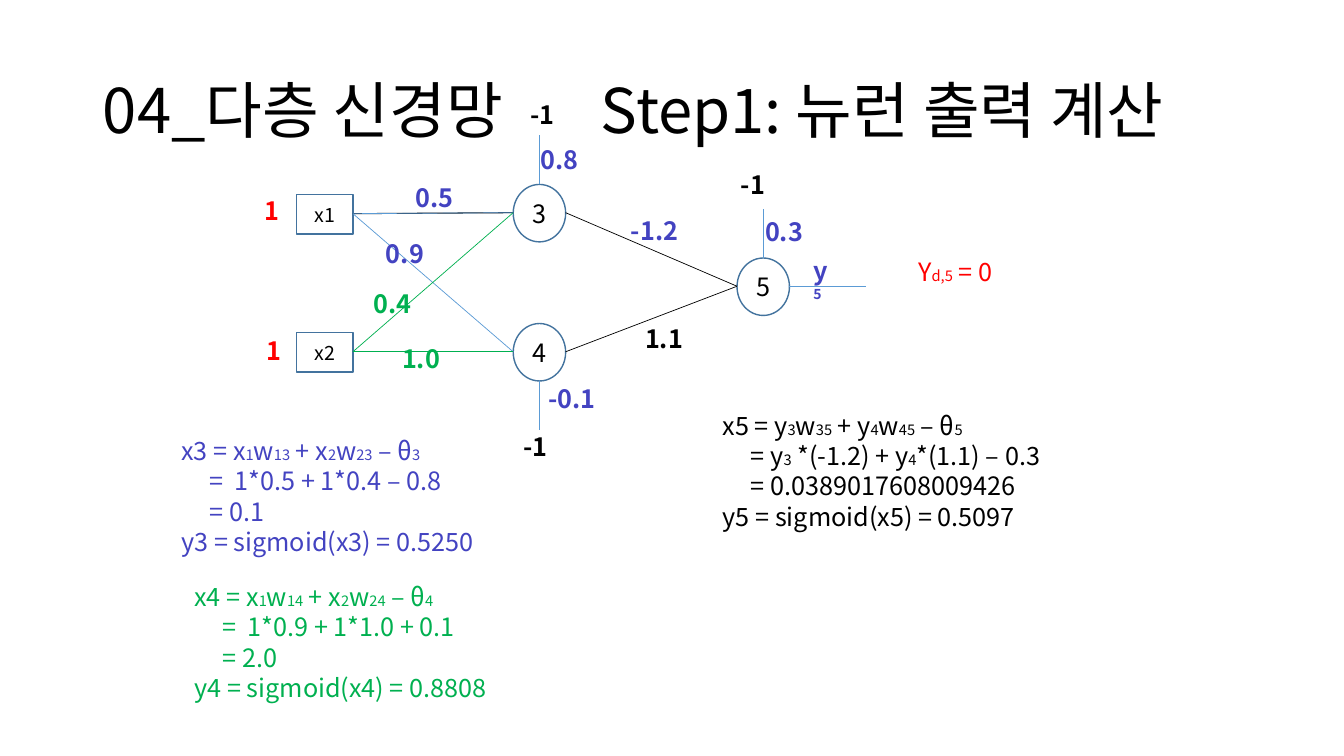
from dataclasses import dataclass
from enum import Enum

from lxml.etree import SubElement
from pptx import Presentation
from pptx.dml.color import RGBColor
from pptx.enum.shapes import MSO_CONNECTOR as Wire, MSO_SHAPE as Form
from pptx.enum.text import MSO_ANCHOR as Anchor, MSO_AUTO_SIZE as Fit, PP_ALIGN as Align
from pptx.oxml.ns import qn
from pptx.util import Emu, Pt

PX = 9144
FONT = "Noto Sans CJK KR"
HUES = {
    "black": "000000", "blue": "4343C1", "green": "00B050",
    "red": "FF0000", "sky": "5B9BD5", "edge": "43739E",
}
STUB = 49


class Side(Enum):
    TOP = (1, 0)
    LEFT = (0, 1)
    BASE = (1, 2)
    RIGHT = (2, 1)


@dataclass(frozen=True)
class Node:
    name: str
    x: int
    y: int
    w: int = 52
    h: int = 57
    form: Form = Form.OVAL
    size: int = 18

    def port(self, side: Side) -> tuple[int, int]:
        across, down = side.value
        return self.x + across * self.w // 2, self.y + down * self.h // 2


@dataclass(frozen=True)
class Edge:
    start: str
    end: str
    hue: str
    width: float = 0.5


@dataclass(frozen=True)
class Stub:
    node: str
    side: Side
    dx: int
    dy: int


@dataclass(frozen=True)
class Label:
    text: str
    x: int
    y: int
    w: int
    hue: str
    bold: bool = True
    sub: float = 10.5
    wrap: bool = False


@dataclass(frozen=True)
class Sums:
    x: int
    y: int
    w: int
    hue: str
    lines: tuple[str, ...]


NODES = [
    Node("3", 509, 183), Node("4", 509, 321), Node("5", 731, 256),
    Node("x1", 294, 193, 56, 39, Form.RECTANGLE, 14),
    Node("x2", 294, 330, 56, 39, Form.RECTANGLE, 14),
]
EDGES = [
    Edge("x1", "3", "black", 0.75), Edge("x1", "3", "sky"),
    Edge("x1", "4", "sky"), Edge("x2", "3", "green"),
    Edge("x2", "4", "green"), Edge("3", "5", "black"), Edge("4", "5", "black"),
]
STUBS = [
    Stub("3", Side.TOP, 0, -STUB), Stub("4", Side.BASE, 0, STUB),
    Stub("5", Side.TOP, 0, -STUB), Stub("5", Side.RIGHT, 76, 0),
]
LABELS = [
    Label("0.5", 402, 176, 58, "blue"), Label("0.9", 373, 232, 58, "blue"),
    Label("0.4", 361, 281, 58, "green"), Label("1.0", 389, 336, 58, "green"),
    Label("-1.2", 616, 209, 73, "blue"), Label("1.1", 630, 316, 58, "black"),
    Label("0.8", 526, 138, 58, "blue"), Label("-0.1", 534, 375, 73, "blue"),
    Label("0.3", 749, 210, 58, "blue"),
    Label("1", 252, 189, 35, "red"), Label("1", 254, 328, 35, "red"),
    Label("-1", 516, 94, 49, "black"), Label("-1", 509, 423, 49, "black"),
    Label("-1", 725, 163, 49, "black"),
    Label("y_5_", 797, 248, 40, "blue", sub=10, wrap=True),
    Label("Y_d,5_ = 0", 901, 249, 104, "red", bold=False),
]
SUMS = [
    Sums(170, 427, 326, "blue", (
        "x3 = x_1_w_13_ + x_2_w_23_ – θ_3_", "=  1*0.5 + 1*0.4 – 0.8",
        "= 0.1", "y3 = sigmoid(x3) = 0.5250")),
    Sums(183, 572, 326, "green", (
        "x4 = x_1_w_14_ + x_2_w_24_ – θ_4_", "=  1*0.9 + 1*1.0 + 0.1",
        "= 2.0", "y4 = sigmoid(x4) = 0.8808")),
    Sums(707, 402, 370, "black", (
        "x5 = y_3_w_35_ + y_4_w_45_ – θ_5_", "= y_3_ *(-1.2) + y_4_*(1.1) – 0.3",
        "= 0.0389017608009426", "y5 = sigmoid(x5) = 0.5097")),
]


def px(*spans: int) -> list[Emu]:
    return [Emu(span * PX) for span in spans]


def tint(hue: str) -> RGBColor:
    return RGBColor.from_string(HUES[hue])


def ink(run, size: float, hue: str, bold: bool = False) -> None:
    font = run.font
    font.name, font.size, font.bold = FONT, Pt(size), bold
    font.color.rgb = tint(hue)
    SubElement(font._element, qn("a:ea")).set("typeface", FONT)


def write(para, text: str, hue: str, bold: bool = False, sub: float = 10.5) -> None:
    for spot, part in enumerate(text.split("_")):
        if part:
            run = para.add_run()
            run.text = part
            ink(run, sub if spot % 2 else 18, hue, bold)


def text_box(slide, x: int, y: int, w: int, h: int, wrap: bool = False):
    frame = slide.shapes.add_textbox(*px(x, y, w, h)).text_frame
    frame.word_wrap = wrap
    frame.auto_size = Fit.SHAPE_TO_FIT_TEXT
    return frame


def draw_title(slide) -> None:
    title = slide.shapes.title
    title.left, title.top, title.width, title.height = px(92, 40, 1150, 145)
    frame = title.text_frame
    frame.text = "04_다층 신경망\tStep1: 뉴런 출력 계산"
    frame.vertical_anchor, frame.auto_size = Anchor.MIDDLE, Fit.NONE
    para = frame.paragraphs[0]
    para.alignment, para.line_spacing = Align.LEFT, 0.9
    tabs = SubElement(para._p.get_or_add_pPr(), qn("a:tabLst"))
    stop = SubElement(tabs, qn("a:tab"))
    stop.set("pos", str(494 * PX))
    stop.set("algn", "l")
    for run in para.runs:
        ink(run, 44, "black")


def draw_node(slide, node: Node) -> None:
    shape = slide.shapes.add_shape(node.form, *px(node.x, node.y, node.w, node.h))
    shape.shadow.inherit = False
    shape.fill.background()
    shape.line.color.rgb, shape.line.width = tint("edge"), Pt(1)
    frame = shape.text_frame
    frame.text, frame.vertical_anchor = node.name, Anchor.MIDDLE
    frame.word_wrap = False
    para = frame.paragraphs[0]
    para.alignment = Align.CENTER
    ink(para.runs[0], node.size, "black")


def draw_line(slide, start: tuple[int, int], end: tuple[int, int],
              hue: str, width: float = 0.5) -> None:
    line = slide.shapes.add_connector(Wire.STRAIGHT, *px(*start, *end))
    line.line.color.rgb, line.line.width = tint(hue), Pt(width)
    SubElement(line._element.spPr, qn("a:effectLst"))


def draw_stub(slide, node: Node, stub: Stub) -> None:
    x, y = node.port(stub.side)
    draw_line(slide, (x, y), (x + stub.dx, y + stub.dy), "sky")


def draw_label(slide, label: Label) -> None:
    frame = text_box(slide, label.x, label.y, label.w, 40, label.wrap)
    write(frame.paragraphs[0], label.text, label.hue, label.bold, label.sub)


def draw_sums(slide, sums: Sums) -> None:
    frame = text_box(slide, sums.x, sums.y, sums.w, 131)
    for row, text in enumerate(sums.lines):
        para = frame.add_paragraph() if row else frame.paragraphs[0]
        if text[0] == "=":
            para._p.get_or_add_pPr().set("marL", str(28 * PX))
        write(para, text, sums.hue)


def main() -> None:
    """Build the slide on computing the outputs of a small neural network."""
    deck = Presentation()
    deck.slide_width, deck.slide_height = px(1333, 750)
    slide = deck.slides.add_slide(deck.slide_layouts[5])
    draw_title(slide)
    nodes = {node.name: node for node in NODES}
    for node in NODES:
        draw_node(slide, node)
    for edge in EDGES:
        start, end = nodes[edge.start].port(Side.RIGHT), nodes[edge.end].port(Side.LEFT)
        draw_line(slide, start, end, edge.hue, edge.width)
    for stub in STUBS:
        draw_stub(slide, nodes[stub.node], stub)
    for label in LABELS:
        draw_label(slide, label)
    for sums in SUMS:
        draw_sums(slide, sums)
    deck.save("out.pptx")


if __name__ == "__main__":
    main()
